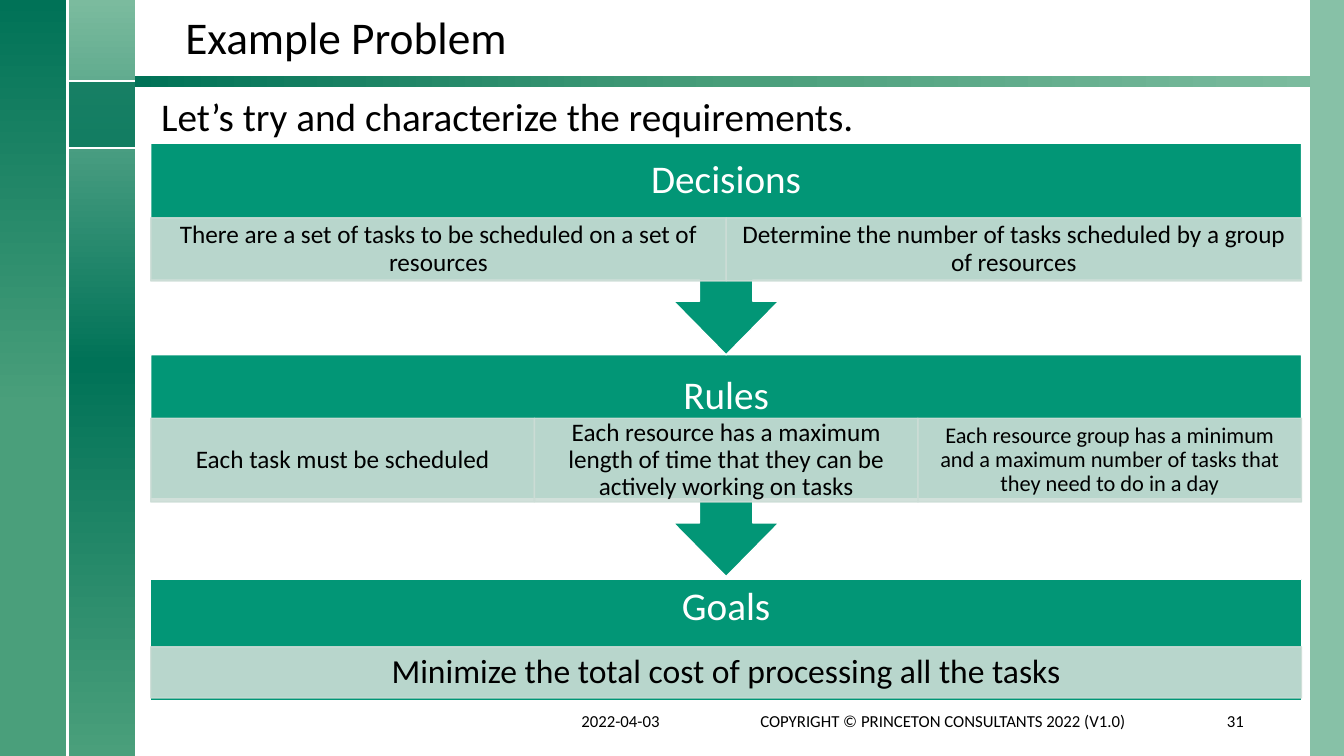
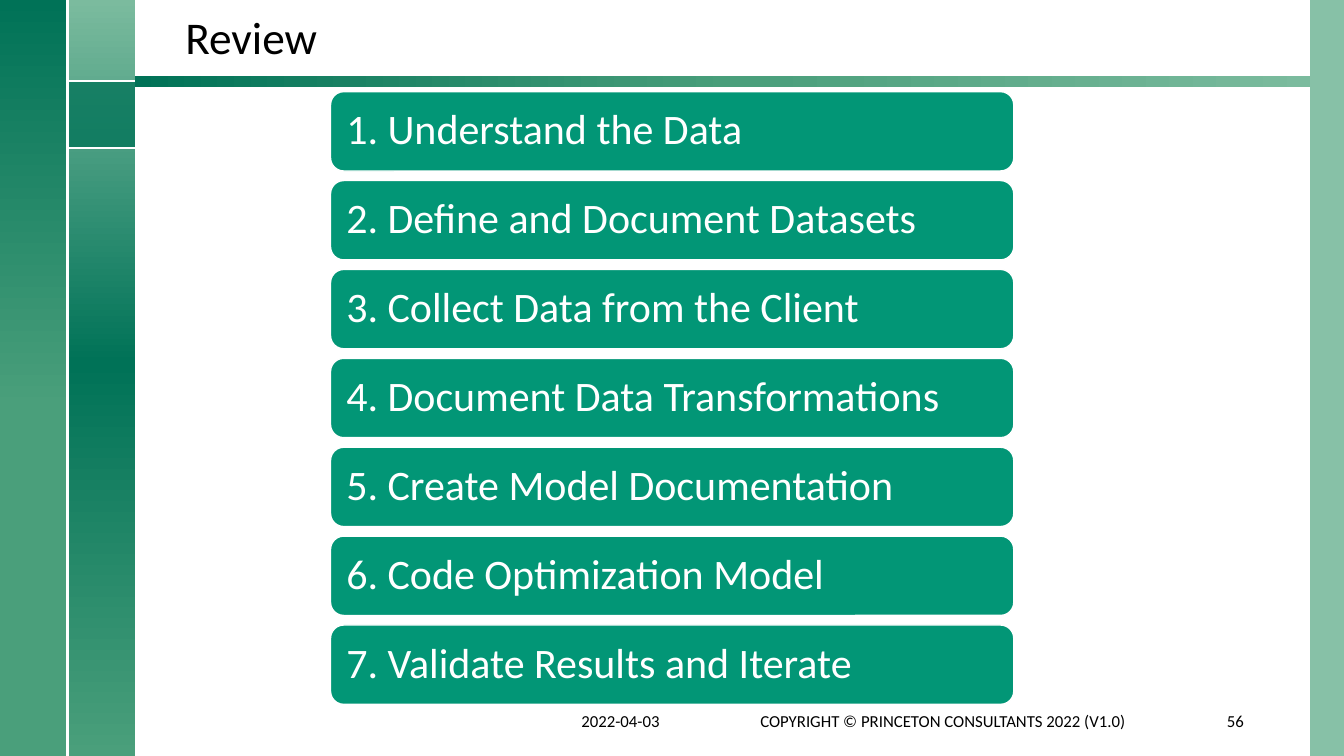
from dataclasses import dataclass

from lxml import etree
from pptx import Presentation
from pptx.dml.color import RGBColor
from pptx.enum.shapes import MSO_CONNECTOR, MSO_SHAPE
from pptx.enum.text import MSO_ANCHOR, MSO_AUTO_SIZE, PP_ALIGN
from pptx.oxml import parse_xml
from pptx.oxml.ns import nsdecls, qn
from pptx.util import Cm, Pt

RECTANGLE, ROUNDED = MSO_SHAPE.RECTANGLE, MSO_SHAPE.ROUNDED_RECTANGLE
STRAIGHT = MSO_CONNECTOR.STRAIGHT
TOP, MIDDLE, BOTTOM = MSO_ANCHOR.TOP, MSO_ANCHOR.MIDDLE, MSO_ANCHOR.BOTTOM
LEFT, CENTER, RIGHT = PP_ALIGN.LEFT, PP_ALIGN.CENTER, PP_ALIGN.RIGHT
NO_AUTOFIT = MSO_AUTO_SIZE.NONE

FONT = "Calibri"
BLACK, WHITE = "000000", "FFFFFF"
DARK, MEDIUM, LIGHT = "007257", "4A9F7B", "7BBB9E"
ACCENT, PALE = "029676", "CCDDD6"
SLIDE_WIDTH, SLIDE_HEIGHT = 33.87, 19.05
STRIPE = 1.7
FLOW_LEFT, FLOW_WIDTH = 3.8, 29
STEM_HALF, HEAD_HALF, HEAD_HEIGHT = 0.67, 1.33, 1.35
STEP_TOP, STEP_PITCH, STEP_HEIGHT = 2.31, 2.24, 2.0


@dataclass(frozen=True)
class Box:
    left: float
    top: float
    width: float
    height: float

    def lengths(self) -> tuple[Cm, Cm, Cm, Cm]:
        return Cm(self.left), Cm(self.top), Cm(self.width), Cm(self.height)


@dataclass(frozen=True)
class Style:
    size: float
    color: str = BLACK
    align: PP_ALIGN = LEFT
    anchor: MSO_ANCHOR = MIDDLE
    insets: tuple[float, float, float, float] = (0.25, 0.13, 0.25, 0.13)
    spacing: float = 0.9


@dataclass(frozen=True)
class Gradient:
    box: Box
    stops: tuple[tuple[int, str], ...]
    angle: int


@dataclass(frozen=True)
class FooterItem:
    box: Box
    align: PP_ALIGN


@dataclass(frozen=True)
class Detail:
    text: str
    size: int


@dataclass(frozen=True)
class Stage:
    heading: str
    top: float
    edge: float
    tip: float
    heading_bottom: float
    detail_top: float
    detail_height: float
    detail_insets: tuple[float, float]
    details: tuple[Detail, ...]


GRADIENTS = (
    Gradient(Box(STRIPE, 0, STRIPE, SLIDE_HEIGHT),
             ((0, LIGHT), (48, DARK), (100, MEDIUM)), 90),
    Gradient(Box(0, 0, STRIPE, SLIDE_HEIGHT),
             ((0, MEDIUM), (46, MEDIUM), (100, DARK)), 270),
    Gradient(Box(2 * STRIPE, 1.91, 29.62, 0.28),
             ((0, LIGHT), (48, MEDIUM), (100, DARK)), 180),
)
SQUARE = Box(STRIPE, 2.05, STRIPE, 1.69)
DIVIDERS = (
    (STRIPE, SQUARE.top, 2 * STRIPE, SQUARE.top),
    (STRIPE, SQUARE.top + SQUARE.height, 2 * STRIPE, SQUARE.top + SQUARE.height),
    (STRIPE, 0, STRIPE, SLIDE_HEIGHT),
)
FOOTER = (
    FooterItem(Box(14.4, 17.65, 3.38, 1.02), LEFT),
    FooterItem(Box(18.19, 17.65, 11.15, 1.02), CENTER),
    FooterItem(Box(29.9, 17.65, 1.7, 1.02), RIGHT),
)
DATE = "2022-04-03"
COPYRIGHT = "COPYRIGHT © PRINCETON CONSULTANTS 2022 (V1.0)"
STAGES = (
    Stage("Decisions", 3.61, 7.06, 8.94, 4.01, 5.49, 1.59, (0.36, 0.08), (
        Detail("There are a set of tasks to be scheduled on a set of resources", 18),
        Detail("Determine the number of tasks scheduled by a group of resources", 18),
    )),
    Stage("Rules", 8.94, 12.57, 14.53, 4.01, 10.54, 2.11, (0.2, 0.03), (
        Detail("Each task must be scheduled", 18),
        Detail("Each resource has a maximum length of time that they can be "
               "actively working on tasks", 18),
        Detail("Each resource group has a minimum and a maximum number of tasks "
               "that they need to do in a day", 16),
    )),
    Stage("Goals", 14.6, 17.65, 17.65, 2.16, 16.3, 1.29, (0.48, 0.08), (
        Detail("Minimize the total cost of processing all the tasks", 24),
    )),
)
STEPS = (
    "Understand the Data",
    "Define and Document Datasets",
    "Collect Data from the Client",
    "Document Data Transformations",
    "Create Model Documentation",
    "Code Optimization Model",
    "Validate Results and Iterate",
)


def rgb(value: str) -> RGBColor:
    return RGBColor.from_string(value)


def write(holder, text: str, style: Style) -> None:
    frame = holder.text_frame
    frame.word_wrap = True
    frame.auto_size = NO_AUTOFIT
    frame.vertical_anchor = style.anchor
    (frame.margin_left, frame.margin_top,
     frame.margin_right, frame.margin_bottom) = map(Cm, style.insets)
    paragraph = frame.paragraphs[0]
    paragraph.alignment = style.align
    paragraph.line_spacing = style.spacing
    paragraph.space_before = Pt(0)
    run = paragraph.add_run()
    run.text = text
    run.font.name = FONT
    run.font.size = Pt(style.size)
    run.font.color.rgb = rgb(style.color)


def paint(shape, fill: str, line: str | None = None, opacity: int = 100) -> None:
    shape.shadow.inherit = False
    shape.fill.solid()
    shape.fill.fore_color.rgb = rgb(fill)
    if line:
        shape.line.color.rgb = rgb(line)
        shape.line.width = Pt(1)
    else:
        shape.line.fill.background()
    if opacity < 100:
        for color in shape.element.spPr.iter(qn("a:srgbClr")):
            etree.SubElement(color, qn("a:alpha"), val=str(opacity * 1000))


def add_block(slide, kind: MSO_SHAPE, box: Box, fill: str,
              line: str | None = None, opacity: int = 100):
    block = slide.shapes.add_shape(kind, *box.lengths())
    paint(block, fill, line, opacity)
    return block


def add_gradient(slide, gradient: Gradient):
    band = add_block(slide, RECTANGLE, gradient.box, DARK)
    stops = "".join(
        f'<a:gs pos="{position * 1000}"><a:srgbClr val="{color}"/></a:gs>'
        for position, color in gradient.stops)
    properties = band.element.spPr
    properties.replace(properties.find(qn("a:solidFill")), parse_xml(
        f'<a:gradFill {nsdecls("a")} rotWithShape="1"><a:gsLst>{stops}</a:gsLst>'
        f'<a:lin ang="{gradient.angle * 60000}" scaled="0"/></a:gradFill>'))
    return band


def add_divider(slide, ends: tuple[float, float, float, float]):
    divider = slide.shapes.add_connector(STRAIGHT, *map(Cm, ends))
    divider.line.color.rgb = rgb(WHITE)
    divider.line.width = Pt(1.5)
    etree.SubElement(divider.element.spPr, qn("a:effectLst"))
    return divider


def decorate_layout(layout, slide) -> None:
    for placeholder in list(layout.placeholders)[2:]:
        placeholder.element.getparent().remove(placeholder.element)
    edge = Box(33.02, 0, SLIDE_WIDTH - 33.02, SLIDE_HEIGHT)
    decorations = [add_block(slide, RECTANGLE, edge, LIGHT, opacity=90)]
    decorations += [add_gradient(slide, gradient) for gradient in GRADIENTS]
    decorations.append(add_block(slide, RECTANGLE, SQUARE, DARK, opacity=75))
    decorations += [add_divider(slide, ends) for ends in DIVIDERS]
    for index, decoration in enumerate(decorations, 2):
        layout.shapes.element.insert(index, decoration.element)


def place(holder, box: Box) -> None:
    holder.left, holder.top, holder.width, holder.height = box.lengths()


def add_title_and_footer(slide, title: str, number: str) -> None:
    place(slide.shapes.title, Box(4.42, 0.2, 27.18, 1.55))
    write(slide.shapes.title, title, Style(32.4, anchor=BOTTOM))
    for item, text in zip(FOOTER, (DATE, COPYRIGHT, number)):
        label = slide.shapes.add_textbox(*item.box.lengths())
        write(label, text, Style(12, align=item.align, spacing=1.0))


def add_introduction(slide, text: str) -> None:
    introduction = slide.placeholders[1]
    place(introduction, Box(3.81, 2.34, 27.18, 3.18))
    properties = introduction.text_frame.paragraphs[0]._p.get_or_add_pPr()
    properties.set("marL", "0")
    properties.set("indent", "0")
    etree.SubElement(properties, qn("a:buNone"))
    write(introduction, text, Style(28, anchor=TOP))


def stage_outline(stage: Stage) -> list[tuple[float, float]]:
    right, center = FLOW_LEFT + FLOW_WIDTH, FLOW_LEFT + FLOW_WIDTH / 2
    corners = [(FLOW_LEFT, stage.top), (right, stage.top), (right, stage.edge)]
    if stage.tip > stage.edge:
        neck = stage.tip - HEAD_HEIGHT
        corners += [
            (center + STEM_HALF, stage.edge), (center + STEM_HALF, neck),
            (center + HEAD_HALF, neck), (center, stage.tip),
            (center - HEAD_HALF, neck), (center - STEM_HALF, neck),
            (center - STEM_HALF, stage.edge),
        ]
    return corners + [(FLOW_LEFT, stage.edge)]


def add_stage(slide, stage: Stage) -> None:
    start, *others = [(Cm(x), Cm(y)) for x, y in stage_outline(stage)]
    builder = slide.shapes.build_freeform(*start, scale=1.0)
    builder.add_line_segments(others, close=True)
    banner = builder.convert_to_shape()
    paint(banner, ACCENT, WHITE)
    write(banner, stage.heading, Style(
        28, WHITE, CENTER, insets=(0.56, 0.56, 0.56, stage.heading_bottom)))
    width = FLOW_WIDTH / len(stage.details)
    for column, detail in enumerate(stage.details):
        box = Box(FLOW_LEFT + column * width, stage.detail_top,
                  width, stage.detail_height)
        panel = add_block(slide, RECTANGLE, box, PALE, PALE, 90)
        write(panel, detail.text, Style(
            detail.size, align=CENTER, insets=stage.detail_insets * 2))


def add_step(slide, index: int, text: str) -> None:
    box = Box(8.33, STEP_TOP + index * STEP_PITCH, 17.22, STEP_HEIGHT)
    step = add_block(slide, ROUNDED, box, ACCENT, WHITE)
    write(step, f"{index + 1}. {text}", Style(30, WHITE, insets=(0.3,) * 4))


def main() -> None:
    deck = Presentation()
    deck.slide_width, deck.slide_height = Cm(SLIDE_WIDTH), Cm(SLIDE_HEIGHT)
    layout = deck.slide_layouts[1]

    problem = deck.slides.add_slide(layout)
    decorate_layout(layout, problem)
    add_title_and_footer(problem, "Example Problem", "31")
    add_introduction(problem, "Let’s try and characterize the requirements.")
    for stage in reversed(STAGES):
        add_stage(problem, stage)

    review = deck.slides.add_slide(layout)
    unused = review.placeholders[1].element
    unused.getparent().remove(unused)
    add_title_and_footer(review, "Review", "56")
    for index, text in enumerate(STEPS):
        add_step(review, index, text)

    deck.save("out.pptx")


if __name__ == "__main__":
    main()
